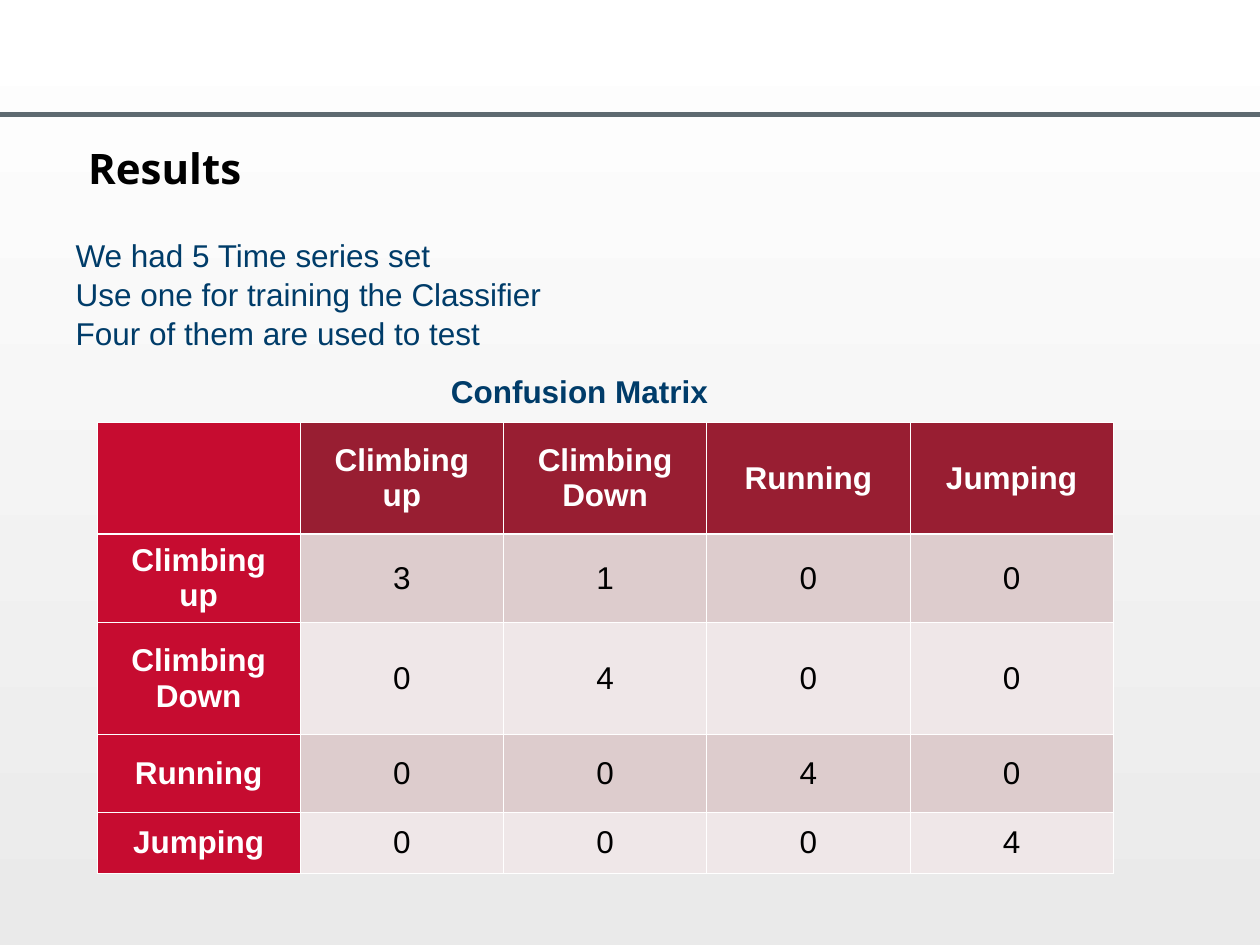
from lxml import etree
from pptx import Presentation
from pptx import util as u
from pptx.dml.color import RGBColor
from pptx.enum import text
from pptx.oxml import ns

COLS, ROWS = 100, 75
NAVY, CRIMSON, RED, WHITE, BLACK = "003C69", "981E32", "C60C30", "FFFFFF", "000000"
BANDS = ("DDCCCD", "EFE7E8")


def rgb(value):
    return RGBColor.from_string(value)


class SlideBuilder:
    """Holds the style and the current slide; lengths are grid columns and rows."""

    font, size = "Arial", 18

    def __init__(self, prs):
        self.col = prs.slide_width / COLS
        self.row = prs.slide_height / ROWS
        self.slide = prs.slides.add_slide(prs.slide_layouts[1])

    def box(self, x, y, w, h):
        return (u.Emu(round(x * self.col)), u.Emu(round(y * self.row)),
                u.Emu(round(w * self.col)), u.Emu(round(h * self.row)))

    def place(self, sp, *area):
        sp.left, sp.top, sp.width, sp.height = self.box(*area)

    def set_text(self, tf, content, color, bold=False, size=None, font=None,
                 align=text.PP_ALIGN.LEFT, spacing=1.0):
        tf.text = content
        for p in tf.paragraphs:
            p.alignment, p.line_spacing = align, spacing
            p.space_before = u.Pt(0)
            for r in p.runs:
                r.font.name, r.font.size = font or self.font, u.Pt(size or self.size)
                r.font.bold, r.font.color.rgb = bold, rgb(color)

    def background(self, *colors):
        """Vertical gradient, from the bottom up."""
        fill = self.slide.background.fill
        fill.gradient()
        fill.gradient_angle = 90
        for stop, color in zip(fill.gradient_stops, colors):
            stop.color.rgb = rgb(color)

    def rule(self, y, color, width):
        x1, y1, length, _ = self.box(0, y, COLS, 0)
        line = self.slide.shapes.add_connector(1, x1, y1, x1 + length, y1)
        line.line.color.rgb, line.line.width = rgb(color), u.Pt(width)
        etree.SubElement(line._element.spPr, ns.qn("a:effectLst"))

    def title(self, content, *area):
        sp = self.slide.shapes.title
        self.place(sp, *area)
        tf = sp.text_frame
        tf.auto_size = text.MSO_AUTO_SIZE.NONE
        tf.vertical_anchor = text.MSO_ANCHOR.BOTTOM
        tf.margin_left = u.Inches(0.59)
        self.set_text(tf, content, BLACK, True, 24, "Open Sans", spacing=0.9)

    def body(self, lines, *area):
        sp = self.slide.placeholders[1]
        self.place(sp, *area)
        tf = sp.text_frame
        tf.auto_size = text.MSO_AUTO_SIZE.NONE
        self.set_text(tf, "\n".join(lines), NAVY, spacing=1.04)
        for p in tf.paragraphs:
            pPr = p._p.get_or_add_pPr()
            pPr.set("marL", "0")
            pPr.set("indent", "0")
            etree.SubElement(pPr, ns.qn("a:buNone"))

    def caption(self, content, *area):
        tf = self.slide.shapes.add_textbox(*self.box(*area)).text_frame
        tf.word_wrap = True
        self.set_text(tf, content, NAVY, True, align=text.PP_ALIGN.CENTER, spacing=1.04)

    def borders(self, cell, widths):
        """Draw the white left, right, top and bottom edges of a cell."""
        tcPr = cell._tc.get_or_add_tcPr()
        for side, width in zip("LRTB", widths):
            ln = etree.SubElement(tcPr, ns.qn(f"a:ln{side}"), w=str(int(u.Pt(width))))
            fill = etree.SubElement(ln, ns.qn("a:solidFill"))
            etree.SubElement(fill, ns.qn("a:srgbClr"), val=WHITE)

    def matrix(self, labels, counts, x, y, col_width, row_heights):
        """Table with the same labels across the top and down the left."""
        data = [["", *labels]] + [[name, *row] for name, row in zip(labels, counts)]
        n = len(data)
        area = self.box(x, y, col_width * n, sum(row_heights))
        table = self.slide.shapes.add_table(n, n, *area).table
        for column in table.columns:
            column.width = u.Emu(round(col_width * self.col))
        thin, thick = 0.45, 1.47
        for i, (values, height) in enumerate(zip(data, row_heights)):
            table.rows[i].height = u.Emu(round(height * self.row))
            for j, value in enumerate(values):
                cell = table.cell(i, j)
                header = i == 0 or j == 0
                self.borders(cell, (thin, thin, thick if i == 1 else thin,
                                    thick if i == 0 else thin))
                cell.fill.solid()
                shade = RED if j == 0 else CRIMSON if i == 0 else BANDS[(i - 1) % 2]
                cell.fill.fore_color.rgb = rgb(shade)
                cell.vertical_anchor = text.MSO_ANCHOR.MIDDLE
                self.set_text(cell.text_frame, str(value), WHITE if header else BLACK,
                              header, align=text.PP_ALIGN.CENTER)


def main():
    prs = Presentation()
    prs.slide_width, prs.slide_height = u.Inches(10), u.Inches(7.5)
    s = SlideBuilder(prs)
    s.background("EAEAEA", WHITE)
    s.rule(9.1, "5E6A71", 3)
    s.title("Results", 1.1, 11.3, 56.5, 4.6)
    s.body(["We had 5 Time series set",
            "Use one for training the Classifier",
            "Four of them are used to test"], 5, 18.1, 92.9, 12.9)
    s.matrix(["Climbing up", "Climbing Down", "Running", "Jumping"],
             [[3, 1, 0, 0], [0, 4, 0, 0], [0, 0, 4, 0], [0, 0, 0, 4]],
             7.7, 33.5, 16.13, [8.9, 7, 8.9, 6.2, 4.8])
    s.caption("Confusion Matrix", 26.7, 28.9, 38.6, 4)
    prs.save("out.pptx")


if __name__ == "__main__":
    main()
